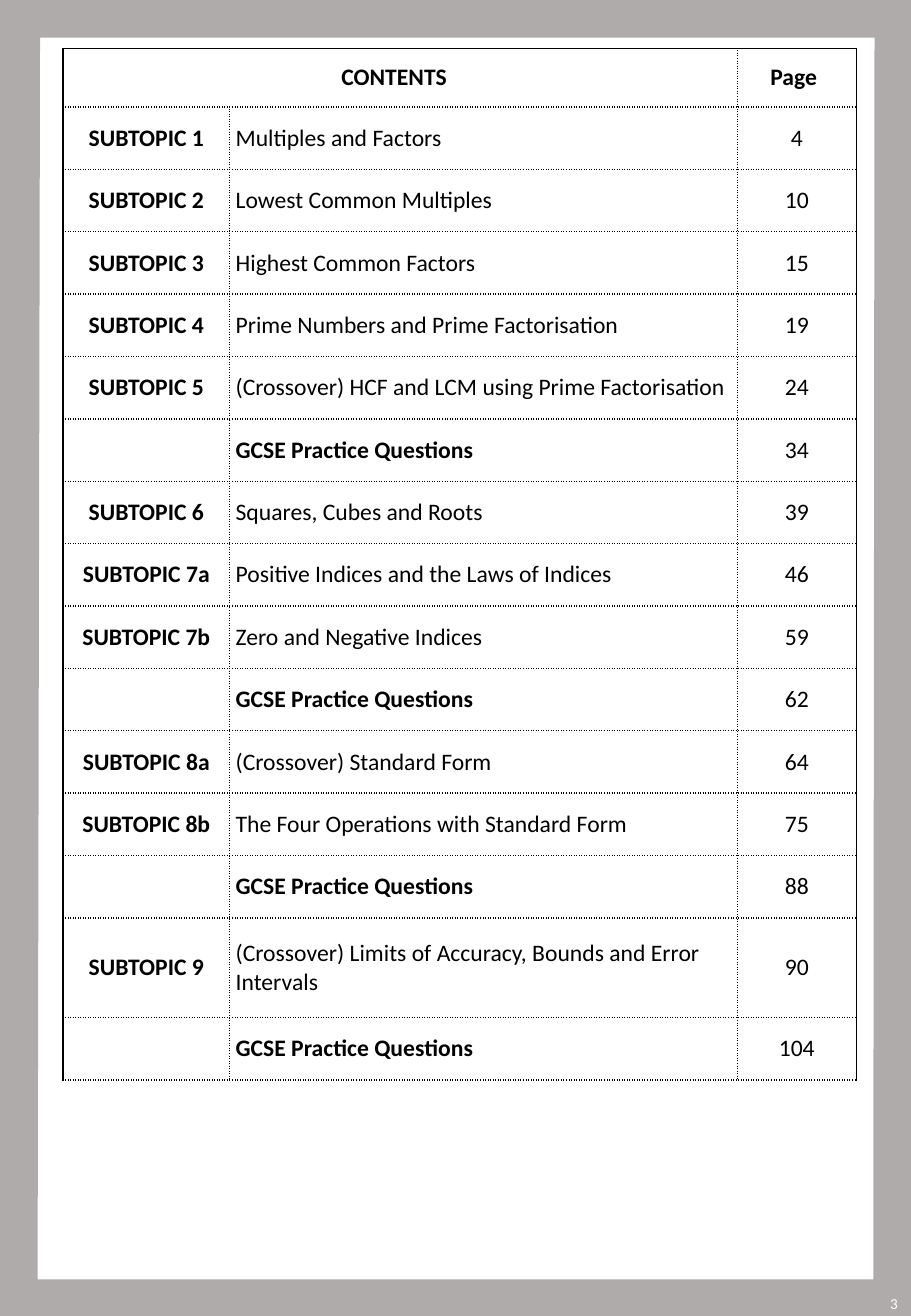
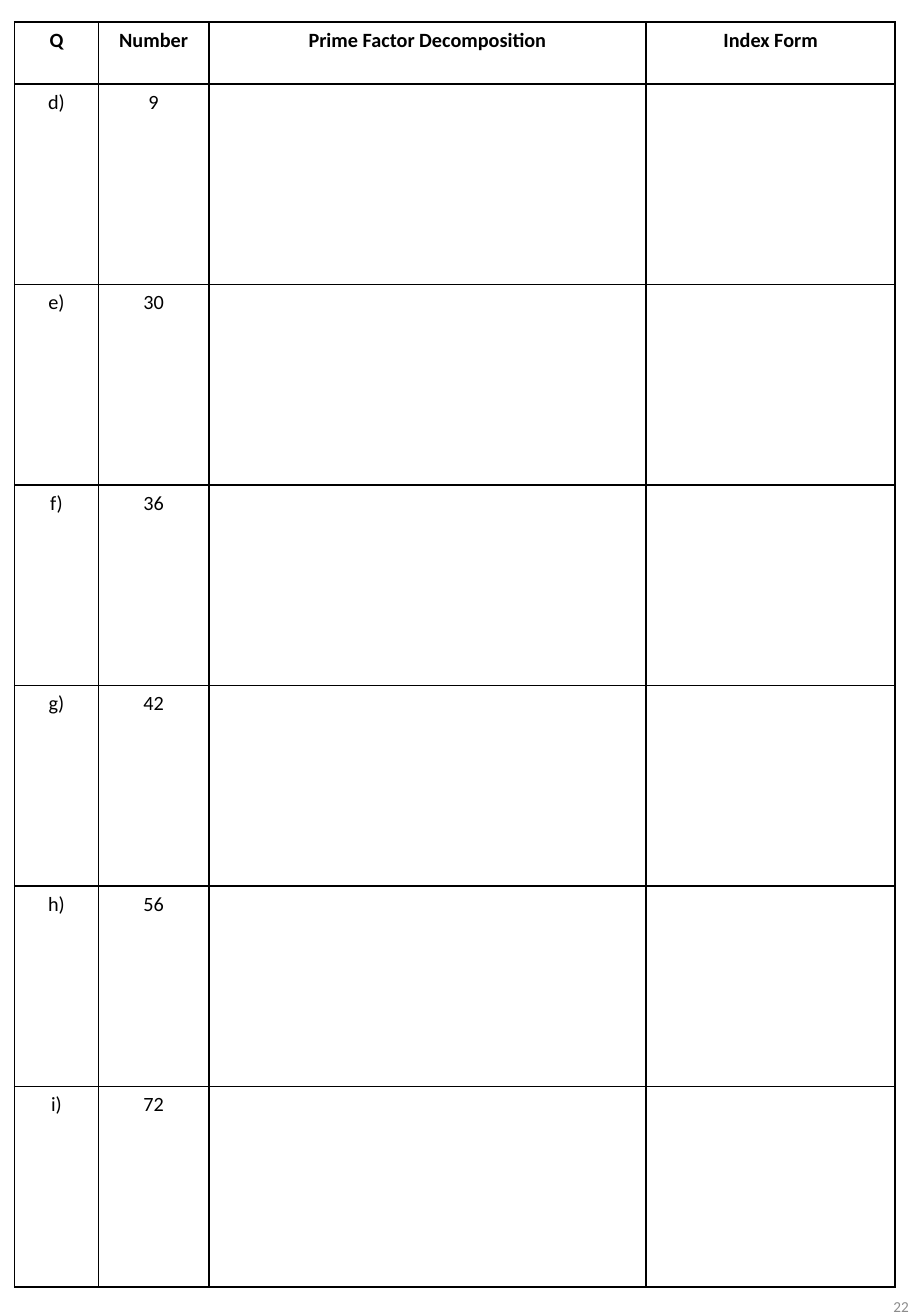
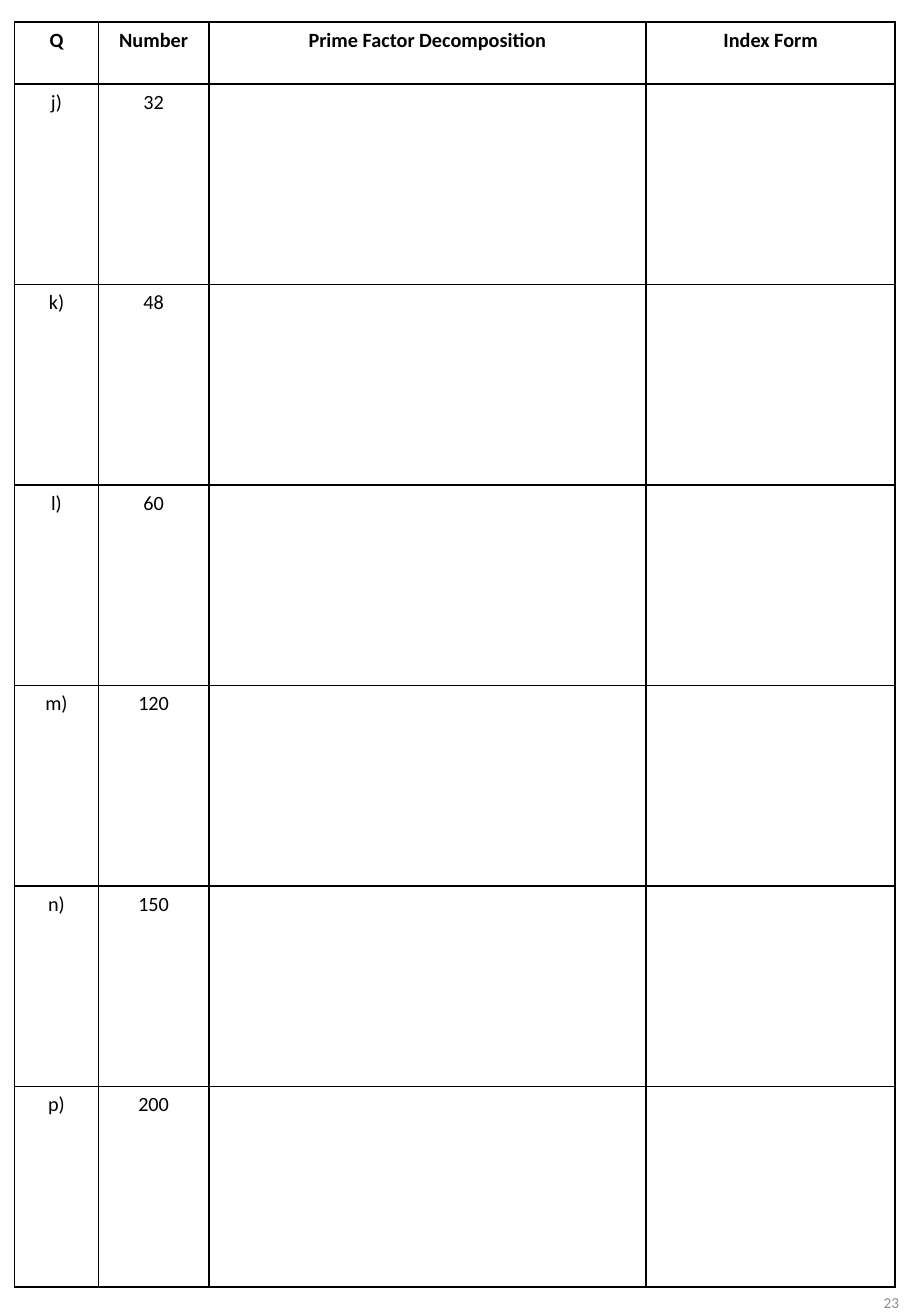
from dataclasses import dataclass

import pptx
import pptx.dml.color
import pptx.enum.text
import pptx.oxml
import pptx.oxml.ns
import pptx.util
from pptx.util import Inches

FONT = "Calibri"
COLORS = {"black": "000000", "white": "FFFFFF", "frame": "AFABAB", "number": "8C8C8C"}
ALIGN = pptx.enum.text.PP_ALIGN
ANCHOR = pptx.enum.text.MSO_ANCHOR
PAGE_W, PAGE_H = 7.5, 10.83


@dataclass
class Topic:
    label: str
    title: str
    page: int


@dataclass
class Worksheet:
    number: int
    number_left: float
    number_top: float
    questions: list[tuple[str, int]]


PRACTICE = "GCSE Practice Questions"
TOPICS = [
    Topic("SUBTOPIC 1", "Multiples and Factors", 4),
    Topic("SUBTOPIC 2", "Lowest Common Multiples", 10),
    Topic("SUBTOPIC 3", "Highest Common Factors", 15),
    Topic("SUBTOPIC 4", "Prime Numbers and Prime Factorisation", 19),
    Topic("SUBTOPIC 5", "(Crossover) HCF and LCM using Prime Factorisation", 24),
    Topic("", PRACTICE, 34),
    Topic("SUBTOPIC 6", "Squares, Cubes and Roots", 39),
    Topic("SUBTOPIC 7a", "Positive Indices and the Laws of Indices", 46),
    Topic("SUBTOPIC 7b", "Zero and Negative Indices", 59),
    Topic("", PRACTICE, 62),
    Topic("SUBTOPIC 8a", "(Crossover) Standard Form", 64),
    Topic("SUBTOPIC 8b", "The Four Operations with Standard Form", 75),
    Topic("", PRACTICE, 88),
    Topic("SUBTOPIC 9", "(Crossover) Limits of Accuracy, Bounds and Error Intervals", 90),
    Topic("", PRACTICE, 104),
]
WORKSHEETS = [
    Worksheet(22, 5.89, 10.46,
              [("d)", 9), ("e)", 30), ("f)", 36), ("g)", 42), ("h)", 56), ("i)", 72)]),
    Worksheet(23, 5.81, 10.43,
              [("j)", 32), ("k)", 48), ("l)", 60), ("m)", 120), ("n)", 150), ("p)", 200)]),
]
QUESTION_HEADS = ["Q", "Number", "Prime Factor Decomposition", "Index Form"]


def rgb(name: str) -> pptx.dml.color.RGBColor:
    return pptx.dml.color.RGBColor.from_string(COLORS[name])


def put_text(tf, text: str, *, size: float, color: str = "black", bold: bool = False,
             align=ALIGN.CENTER) -> None:
    p = tf.paragraphs[0]
    p.alignment = align
    r = p.add_run()
    r.text = text
    r.font.name, r.font.size, r.font.bold = FONT, pptx.util.Pt(size), bold
    r.font.color.rgb = rgb(color)


def add_page_number(s, number: int, left: float, top: float, color: str) -> None:
    sp = s.shapes.add_textbox(Inches(left), Inches(top), Inches(1.69), Inches(0.58))
    tf = sp.text_frame
    tf.word_wrap = True
    tf.vertical_anchor = ANCHOR.MIDDLE
    put_text(tf, str(number), size=9, color=color, align=ALIGN.RIGHT)


def add_frame(s) -> None:
    """Draw the grey page border, with its slightly slanted opening."""
    outer = [(0, 0), (PAGE_W, 0), (PAGE_W, PAGE_H), (0, PAGE_H)]
    opening = [(0.33, 0.31), (0.31, 10.53), (7.19, 10.53), (7.2, 0.31)]
    outer, opening = ([(Inches(x), Inches(y)) for x, y in c] for c in (outer, opening))
    builder = s.shapes.build_freeform(*outer[0])
    builder.add_line_segments(outer[1:], close=True)
    builder.move_to(*opening[0])
    builder.add_line_segments(opening[1:], close=True)
    sp = builder.convert_to_shape()
    sp.shadow.inherit = False
    sp.fill.solid()
    sp.fill.fore_color.rgb = rgb("frame")
    sp.line.fill.background()


def set_borders(cell, solid: str) -> None:
    """Give the cell 1 pt borders: solid on the named sides, dotted on the others."""
    tc_pr = cell._tc.get_or_add_tcPr()
    for side in "LRTB":
        dash = "solid" if side in solid else "dot"
        tc_pr.append(pptx.oxml.parse_xml(
            f'<a:ln{side} {pptx.oxml.ns.nsdecls("a")} w="12700"><a:solidFill>'
            f'<a:srgbClr val="{COLORS["black"]}"/></a:solidFill>'
            f'<a:prstDash val="{dash}"/></a:ln{side}>'))


def add_grid(s, left: float, top: float, widths: list[float], heights: list[float]):
    """Add a table without banding or fills."""
    shape = s.shapes.add_table(len(heights), len(widths), Inches(left), Inches(top),
                               Inches(sum(widths)), Inches(sum(heights)))
    table = shape.table
    table.first_row = table.horz_banding = False
    for col, width in zip(table.columns, widths):
        col.width = Inches(width)
    for row, height in zip(table.rows, heights):
        row.height = Inches(height)
    return table


def add_contents(prs, blank) -> None:
    s = prs.slides.add_slide(blank)
    add_frame(s)
    add_page_number(s, 3, 5.8, 10.44, "white")
    head, tall, total = 0.48, 0.82, 8.49
    normal = (total - head - tall) / (len(TOPICS) - 1)
    heights = [head] + [tall if t.label == "SUBTOPIC 9" else normal for t in TOPICS]
    table = add_grid(s, 0.52, 0.4, [1.37, 4.18, 0.98], heights)
    rows = [("CONTENTS", "", "Page")] + [(t.label, t.title, str(t.page)) for t in TOPICS]
    for i, row in enumerate(rows):
        for j, text in enumerate(row):
            cell = table.cell(i, j)
            set_borders(cell, ("T" if i == 0 else "") + ("L", "", "R")[j])
            cell.margin_left = cell.margin_right = Inches(0.05)
            cell.margin_top = cell.margin_bottom = Inches(0.05)
            cell.vertical_anchor = ANCHOR.MIDDLE
            if i == 0:
                cell.fill.solid()
                cell.fill.fore_color.rgb = rgb("white")
            else:
                cell.fill.background()
            if text:
                put_text(cell.text_frame, text, size=14,
                         bold=i == 0 or j == 0 or text == PRACTICE,
                         align=ALIGN.LEFT if j == 1 else ALIGN.CENTER)
    table.cell(0, 0).merge(table.cell(0, 1))
    table.cell(0, 0).margin_right = Inches(0.15)
    table.cell(0, 2).margin_right = Inches(0.1)


def add_worksheet(prs, blank, sheet: Worksheet) -> None:
    s = prs.slides.add_slide(blank)
    add_page_number(s, sheet.number, sheet.number_left, sheet.number_top, "number")
    heights = [0.51] + [1.65] * len(sheet.questions)
    table = add_grid(s, 0.12, 0.18, [0.69, 0.91, 3.6, 2.05], heights)
    rows = [QUESTION_HEADS] + [[q, str(n), "", ""] for q, n in sheet.questions]
    for i, row in enumerate(rows):
        for j, text in enumerate(row):
            cell = table.cell(i, j)
            set_borders(cell, "LRTB")
            cell.fill.background()
            if text:
                put_text(cell.text_frame, text, size=12, bold=i == 0)


def main() -> None:
    prs = pptx.Presentation()
    prs.slide_width, prs.slide_height = Inches(PAGE_W), Inches(PAGE_H)
    blank = prs.slide_layouts[6]
    add_contents(prs, blank)
    for sheet in WORKSHEETS:
        add_worksheet(prs, blank, sheet)
    prs.save("out.pptx")


if __name__ == "__main__":
    main()
